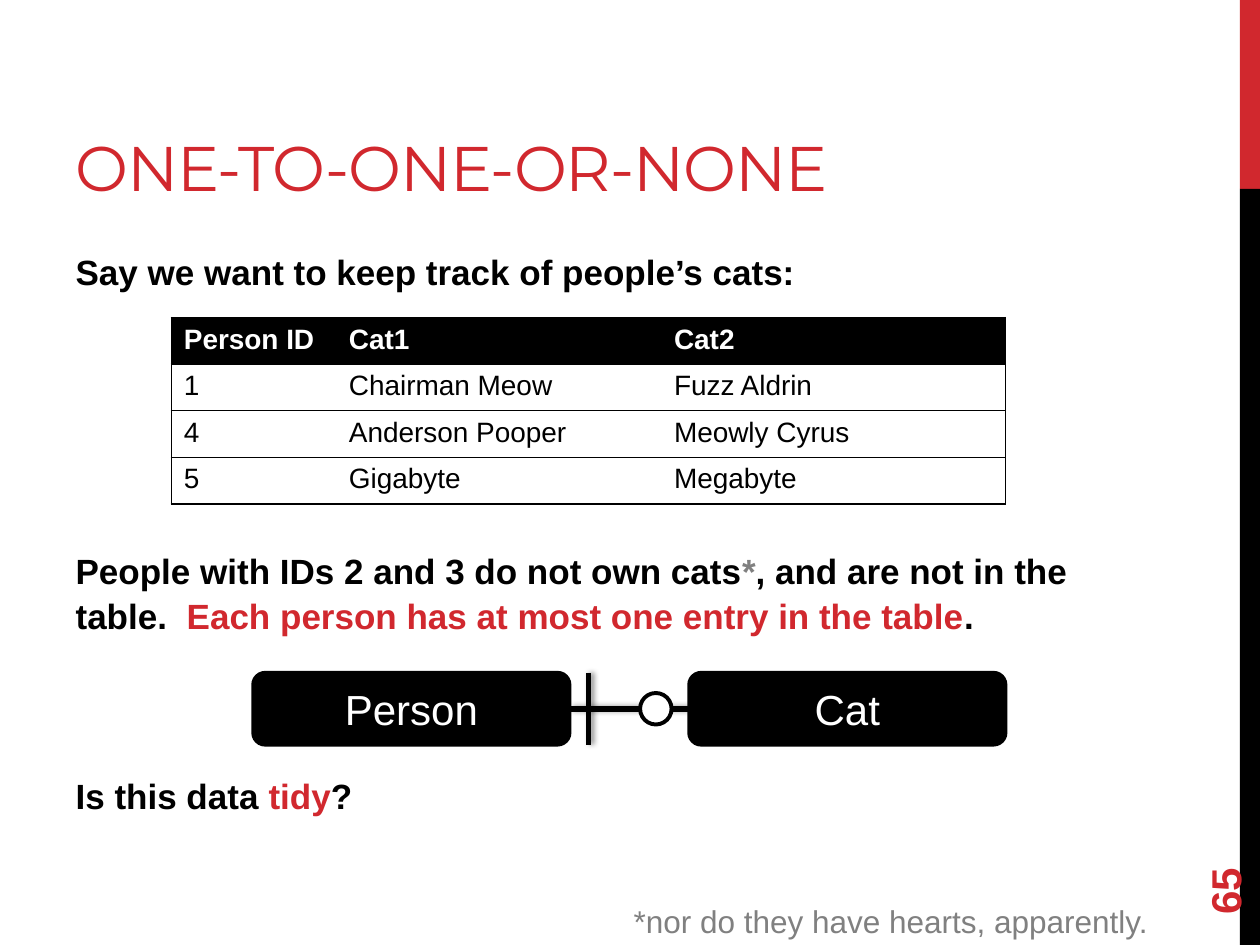
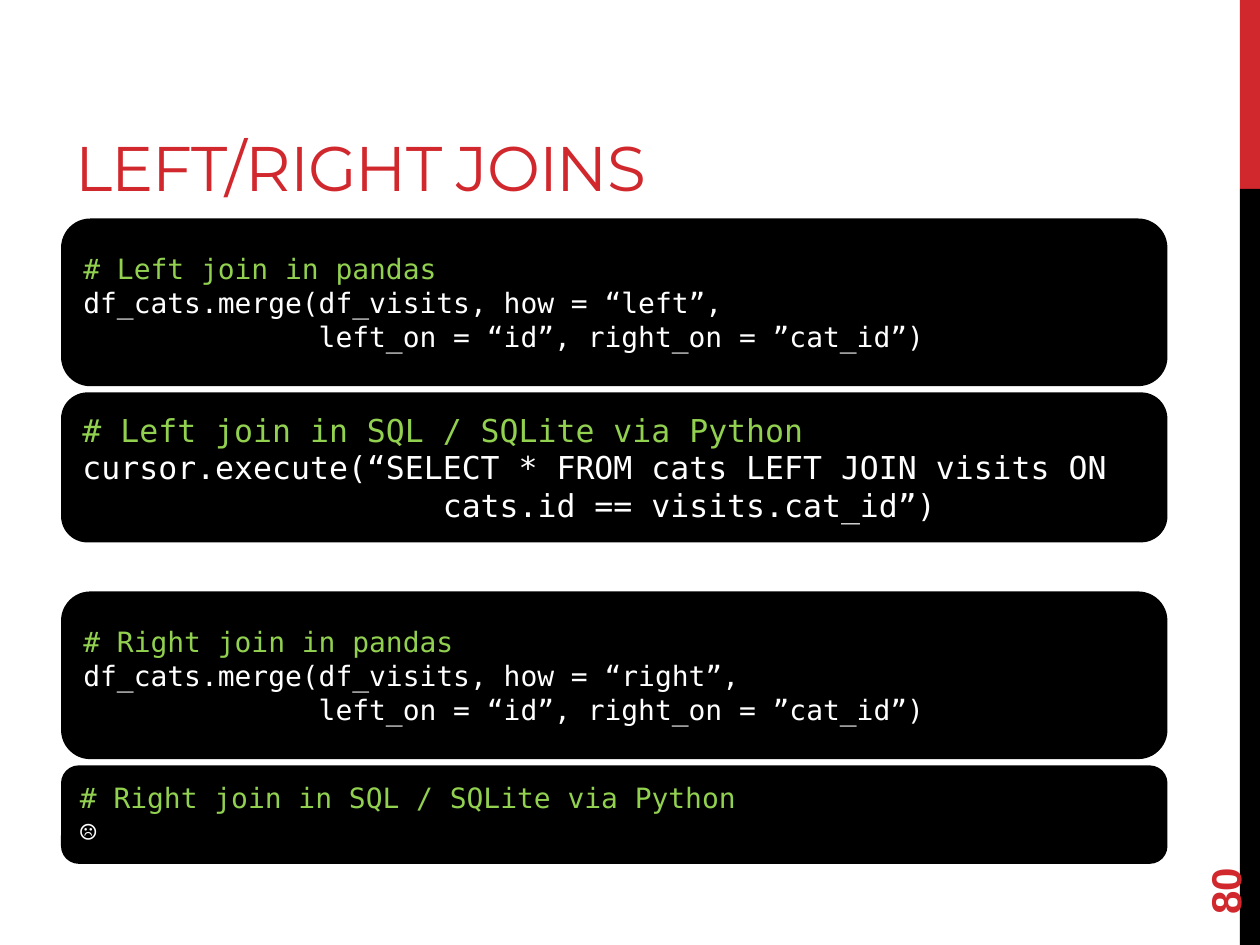
import pptx
import pptx.dml.color
import pptx.enum.shapes
import pptx.enum.text
import pptx.oxml
import pptx.oxml.ns
import pptx.util
from lxml import etree
from pptx.util import Inches

RED, BLACK, WHITE, GRAY, GREEN = "D1282E", "000000", "FFFFFF", "808080", "92D050"
TITLE_FONT, TEXT_FONT, CODE_FONT = "Montserrat", "Arial", "DejaVu Sans Mono"
SHAPES = pptx.enum.shapes.MSO_SHAPE
MIDDLE = pptx.enum.text.MSO_ANCHOR.MIDDLE
TITLE_ONLY, TITLE_AND_CONTENT = 5, 1

# Each statement: space before in points, then (text, colour) runs
CAT_STATEMENTS = [
    (0, [("Say we want to keep track of people’s cats:", BLACK)]),
    (146, [("People with IDs 2 and 3 do not own cats", BLACK), ("*", GRAY),
           (", and are not in the table.  ", BLACK),
           ("Each person has at most one entry in the table", RED), (".", BLACK)]),
    (78, [("Is this data ", BLACK), ("tidy", RED), ("?", BLACK)]),
]
CAT_TABLE = [
    ("Person ID", "Cat1", "Cat2"),
    ("1", "Chairman Meow", "Fuzz Aldrin"),
    ("4", "Anderson Pooper", "Meowly Cyrus"),
    ("5", "Gigabyte", "Megabyte"),
]
CAT_COLUMN_WIDTHS = (1.31, 2.58, 2.73)
FOOTNOTE = "*nor do they have hearts, apparently."

# Each group: top, then (height, text size, code lines) for each panel
JOIN_GROUPS = [
    (1.75, [
        (1.3, 16, ["# Left join in pandas",
                   "df_cats.merge(df_visits, how = “left”,",
                   "              left_on = “id”, right_on = ”cat_id”)"]),
        (1.16, 18, ["# Left join in SQL / SQLite via Python",
                    "cursor.execute(“SELECT * FROM cats LEFT JOIN visits ON",
                    "                   cats.id == visits.cat_id”)"]),
    ]),
    (4.71, [
        (1.3, 16, ["# Right join in pandas",
                   "df_cats.merge(df_visits, how = “right”,",
                   "              left_on = “id”, right_on = ”cat_id”)"]),
        (0.75, 16, ["# Right join in SQL / SQLite via Python", "☹"]),
    ]),
]
PANEL_GAP = 0.08


def rgb(color):
    return pptx.dml.color.RGBColor.from_string(color)


def format_font(font, size, color, name=TEXT_FONT, bold=False):
    font.size = pptx.util.Pt(size)
    font.name = name
    font.bold = bold
    font.color.rgb = rgb(color)


def place(shape, left, top, width, height):
    shape.left, shape.top = Inches(left), Inches(top)
    shape.width, shape.height = Inches(width), Inches(height)


def add_filled_shape(slide, kind, box, fill, line_width=0):
    shape = slide.shapes.add_shape(kind, *map(Inches, box))
    shape.shadow.inherit = False
    shape.fill.solid()
    shape.fill.fore_color.rgb = rgb(fill)
    if line_width:
        shape.line.color.rgb = rgb(BLACK)
        shape.line.width = pptx.util.Pt(line_width)
    else:
        shape.line.fill.background()
    return shape


def add_label(slide, box, text, size, color, bold=False):
    label = slide.shapes.add_textbox(*map(Inches, box))
    label.text_frame.word_wrap = True
    label.text_frame.text = text
    format_font(label.text_frame.paragraphs[0].runs[0].font, size, color, bold=bold)
    return label


def add_base_slide(presentation, layout_index, title, number):
    """Add a slide with its title, right-hand band and slide number."""
    slide = presentation.slides.add_slide(presentation.slide_layouts[layout_index])
    add_filled_shape(slide, SHAPES.RECTANGLE, (9.84, 0, 0.16, 1.5), RED)
    add_filled_shape(slide, SHAPES.RECTANGLE, (9.84, 1.5, 0.16, 6), BLACK)

    place(slide.shapes.title, 0.5, 0.17, 6.33, 1.5)
    frame = slide.shapes.title.text_frame
    frame.text = title
    frame.word_wrap = True
    frame.auto_size = pptx.enum.text.MSO_AUTO_SIZE.NONE
    frame.vertical_anchor = pptx.enum.text.MSO_ANCHOR.BOTTOM
    paragraph = frame.paragraphs[0]
    paragraph.alignment = pptx.enum.text.PP_ALIGN.LEFT
    format_font(paragraph.runs[0].font, 36, RED, TITLE_FONT)
    paragraph.runs[0].font._element.set("spc", "-60")

    number_label = add_label(slide, (9, 6.44, 1.44, 0.4), number, 24, RED, bold=True)
    number_label.rotation = 270
    number_label.text_frame.vertical_anchor = MIDDLE
    return slide


def fill_body(body, statements):
    place(body, 0.5, 1.92, 8.33, 4.78)
    frame = body.text_frame
    frame.auto_size = pptx.enum.text.MSO_AUTO_SIZE.NONE
    for index, (space_before, runs) in enumerate(statements):
        paragraph = frame.add_paragraph() if index else frame.paragraphs[0]
        properties = paragraph._p.get_or_add_pPr()
        properties.set("marL", "0")
        properties.set("indent", "0")
        etree.SubElement(properties, pptx.oxml.ns.qn("a:buNone"))
        paragraph.space_before = pptx.util.Pt(space_before)
        paragraph.line_spacing = 1.05
        for text, color in runs:
            run = paragraph.add_run()
            run.text = text
            format_font(run.font, 20, color, bold=True)


def set_cell_borders(cell, visible_sides):
    properties = cell._tc.get_or_add_tcPr()
    for position, side in enumerate(("L", "R", "T", "B")):
        paint = (f'<a:solidFill><a:srgbClr val="{BLACK}"/></a:solidFill>'
                 if side in visible_sides else "<a:noFill/>")
        properties.insert(position, pptx.oxml.parse_xml(
            f'<a:ln{side} {pptx.oxml.ns.nsdecls("a")} w="12700">{paint}</a:ln{side}>'))


def add_cat_table(slide):
    row_height = 0.37
    table = slide.shapes.add_table(
        len(CAT_TABLE), len(CAT_COLUMN_WIDTHS), Inches(1.36), Inches(2.52),
        Inches(sum(CAT_COLUMN_WIDTHS)), Inches(row_height * len(CAT_TABLE))).table
    for column, width in zip(table.columns, CAT_COLUMN_WIDTHS):
        column.width = Inches(width)
    for row_index, values in enumerate(CAT_TABLE):
        table.rows[row_index].height = Inches(row_height)
        is_header = row_index == 0
        for column_index, value in enumerate(values):
            cell = table.cell(row_index, column_index)
            cell.text = value
            cell.fill.solid()
            cell.fill.fore_color.rgb = rgb(BLACK if is_header else WHITE)
            format_font(cell.text_frame.paragraphs[0].runs[0].font, 16,
                        WHITE if is_header else BLACK, bold=is_header)
            outer_sides = {0: "L", len(values) - 1: "R"}.get(column_index, "")
            set_cell_borders(cell, "TB" + outer_sides)


def add_shadowed_line(slide, *ends):
    line = slide.shapes.add_connector(
        pptx.enum.shapes.MSO_CONNECTOR.STRAIGHT, *map(Inches, ends))
    line.line.color.rgb = rgb(BLACK)
    line.line.width = pptx.util.Pt(3.25)
    line._element.spPr.append(pptx.oxml.parse_xml(
        f'<a:effectLst {pptx.oxml.ns.nsdecls("a")}>'
        '<a:outerShdw blurRad="39370" dist="22860" dir="0" rotWithShape="0">'
        f'<a:srgbClr val="{BLACK}"><a:alpha val="40000"/></a:srgbClr>'
        '</a:outerShdw></a:effectLst>'))


def add_relationship(slide):
    """Draw Person and Cat joined by a one-to-zero-or-one line."""
    top, width, height = 5.34, 2.51, 0.57
    person_left, cat_left = 2.01, 5.47
    for name, left in (("Person", person_left), ("Cat", cat_left)):
        entity = add_filled_shape(slide, SHAPES.ROUNDED_RECTANGLE,
                                  (left, top, width, height), BLACK, 2.25)
        entity.text_frame.text = name
        entity.text_frame.vertical_anchor = MIDDLE
        paragraph = entity.text_frame.paragraphs[0]
        paragraph.alignment = pptx.enum.text.PP_ALIGN.CENTER
        format_font(paragraph.runs[0].font, 24, WHITE)
    middle = top + height / 2
    add_shadowed_line(slide, cat_left, middle, person_left + width, middle)
    add_shadowed_line(slide, 4.67, top, 4.67, top + height)
    diameter = 0.25
    add_filled_shape(slide, SHAPES.OVAL,
                     (5.08, middle - diameter / 2, diameter, diameter), WHITE, 2.25)


def add_code_panel(slide, top, height, size, lines):
    panel = add_filled_shape(slide, SHAPES.ROUNDED_RECTANGLE,
                             (0.5, top, 8.75, height), BLACK, 2.25)
    frame = panel.text_frame
    frame.word_wrap = True
    frame.vertical_anchor = MIDDLE
    frame.text = "\n".join(lines)
    for paragraph, line in zip(frame.paragraphs, lines):
        paragraph.alignment = pptx.enum.text.PP_ALIGN.LEFT
        color = GREEN if line.startswith("#") else WHITE
        format_font(paragraph.runs[0].font, size, color, CODE_FONT)


def build_one_to_one_or_none(presentation):
    slide = add_base_slide(presentation, TITLE_AND_CONTENT, "ONE-TO-ONE-OR-NONE", "65")
    fill_body(slide.placeholders[1], CAT_STATEMENTS)
    add_cat_table(slide)
    add_relationship(slide)
    add_label(slide, (4.93, 7.11, 4.41, 0.4), FOOTNOTE, 18, GRAY)


def build_joins(presentation):
    slide = add_base_slide(presentation, TITLE_ONLY, "LEFT/RIGHT JOINS", "80")
    for top, panels in JOIN_GROUPS:
        for height, size, lines in panels:
            add_code_panel(slide, top, height, size, lines)
            top += height + PANEL_GAP


def main():
    presentation = pptx.Presentation()
    presentation.slide_width, presentation.slide_height = Inches(10), Inches(7.5)
    build_one_to_one_or_none(presentation)
    build_joins(presentation)
    presentation.save("out.pptx")


if __name__ == "__main__":
    main()
